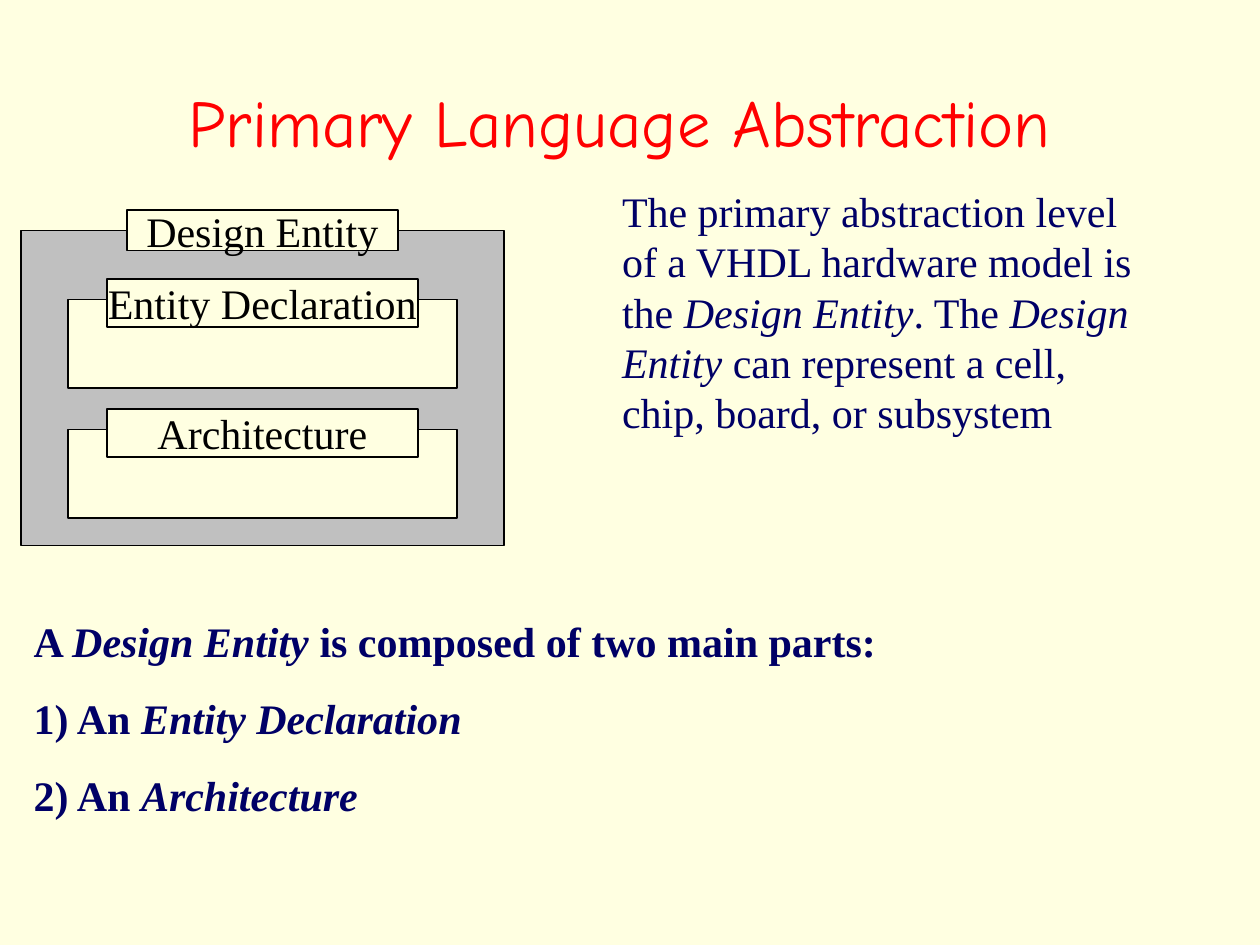
from pptx import Presentation
from pptx.dml.color import RGBColor
from pptx.enum.shapes import MSO_SHAPE as Shape
from pptx.enum.text import MSO_ANCHOR as Anchor, PP_ALIGN as Align
from pptx.util import Cm, Pt

CREAM = RGBColor(0xFF, 0xFF, 0xE1)
GRAY = RGBColor(0xC0, 0xC0, 0xC0)
BLACK = RGBColor(0, 0, 0)
RED = RGBColor(0xFF, 0, 0)
NAVY = RGBColor(0, 0, 0x66)
SERIF = "Times New Roman"

TITLE = "Primary Language Abstraction"
ENTITY = "Design Entity"
PARTS = [("Architecture", 8.66), ("Entity Declaration", 6.04)]
ABSTRACTION = [[
    ("The primary abstraction level of a VHDL hardware model is the ", False),
    (ENTITY, True), (". The ", False), (ENTITY, True),
    (" can represent a cell, chip, board, or subsystem", False),
]]
COMPOSITION = [
    [("A ", False), (ENTITY, True), (" is composed of two main parts:", False)],
    [("1) An ", False), ("Entity Declaration", True)],
    [("2) An ", False), ("Architecture", True)],
]

CENTER = 5.29
PART_WIDTH, PART_HEIGHT = 7.85, 1.78
TAG_WIDTH, TAG_HEIGHT, TAG_RISE = 6.27, 0.97, 0.42


def add_box(diagram, top, width, height, fill, label=None):
    box = diagram.shapes.add_shape(
        Shape.RECTANGLE, Cm(CENTER - width / 2), Cm(top), Cm(width), Cm(height))
    box.shadow.inherit = False
    box.fill.solid()
    box.fill.fore_color.rgb = fill
    box.line.color.rgb = BLACK
    box.line.width = Pt(1)
    if label:
        frame = box.text_frame
        frame.word_wrap = False
        frame.vertical_anchor = Anchor.MIDDLE
        write(frame, [[(label, False)]], BLACK, align=Align.CENTER)


def write(frame, paragraphs, color, size=24, name=SERIF, bold=False, align=Align.LEFT):
    for index, runs in enumerate(paragraphs):
        paragraph = frame.add_paragraph() if index else frame.paragraphs[0]
        paragraph.alignment = align
        if index:
            paragraph.space_before = Pt(15)
        font = paragraph.font
        font.size, font.name, font.bold = Pt(size), name, bold
        font.color.rgb = color
        for text, italic in runs:
            run = paragraph.add_run()
            run.text = text
            if italic:
                run.font.italic = True


def add_text(slide, left, top, width, height, paragraphs, color, anchor=Anchor.TOP, **style):
    frame = slide.shapes.add_textbox(Cm(left), Cm(top), Cm(width), Cm(height)).text_frame
    frame.word_wrap = True
    frame.vertical_anchor = anchor
    write(frame, paragraphs, color, **style)


def main():
    deck = Presentation()
    deck.slide_width, deck.slide_height = Cm(25.4), Cm(19.05)
    slide = deck.slides.add_slide(deck.slide_layouts[6])
    slide.background.fill.solid()
    slide.background.fill.fore_color.rgb = CREAM

    add_text(slide, 1.7, 1.47, 21.59, 1.93, [[(TITLE, False)]], RED,
             anchor=Anchor.MIDDLE, size=38, name="Comic Neue", align=Align.CENTER)

    diagram = slide.shapes.add_group_shape()
    add_box(diagram, 4.65, 9.73, 6.35, GRAY)
    add_box(diagram, 4.24, 5.46, 0.81, CREAM, ENTITY)
    for part, top in PARTS:
        add_box(diagram, top, PART_WIDTH, PART_HEIGHT, CREAM)
        add_box(diagram, top - TAG_RISE, TAG_WIDTH, TAG_HEIGHT, CREAM, part)

    add_text(slide, 12.29, 3.61, 10.8, 6.35, ABSTRACTION, NAVY)
    add_text(slide, 0.43, 12.29, 24.33, 4.34, COMPOSITION, NAVY, bold=True)
    deck.save("out.pptx")


if __name__ == "__main__":
    main()
